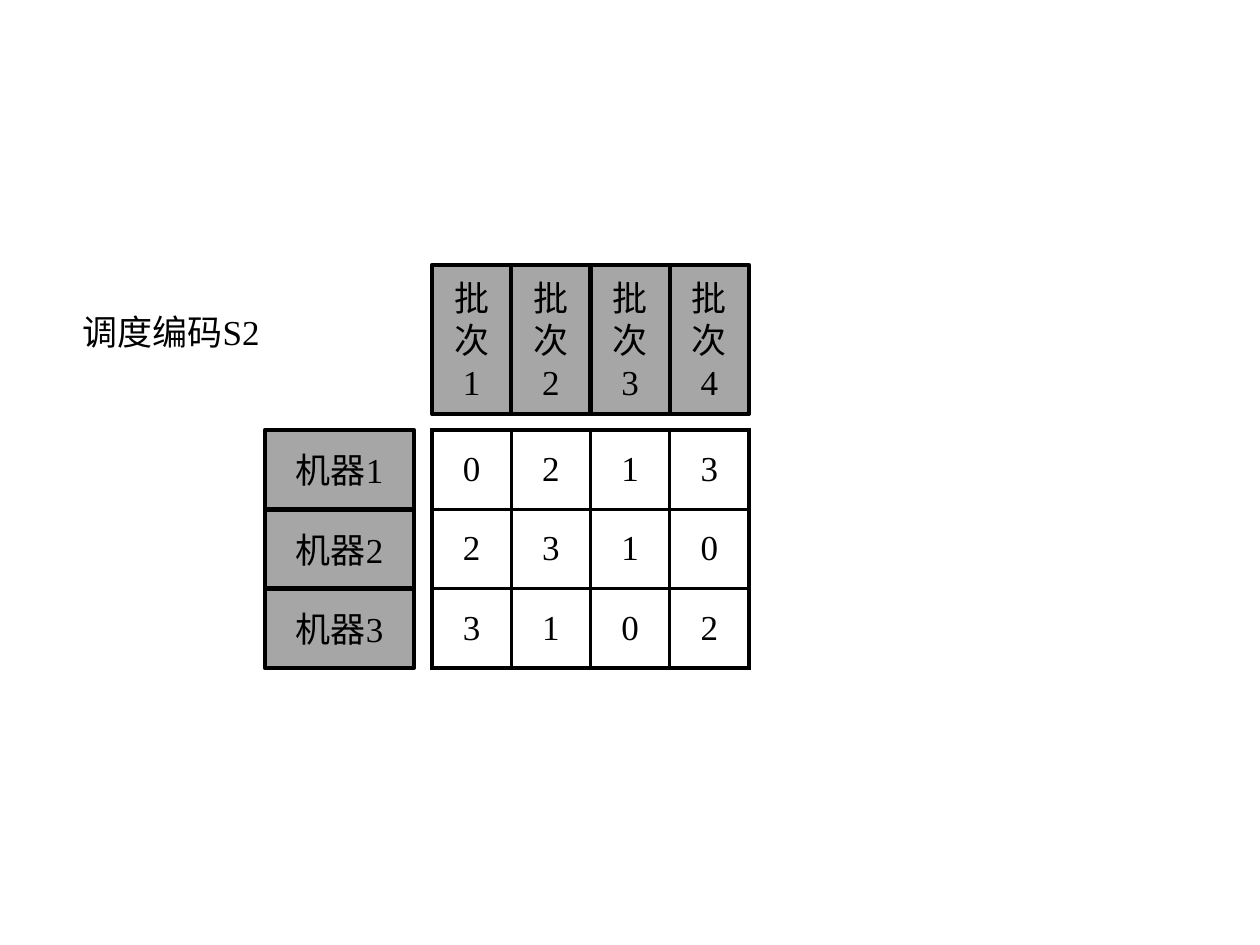
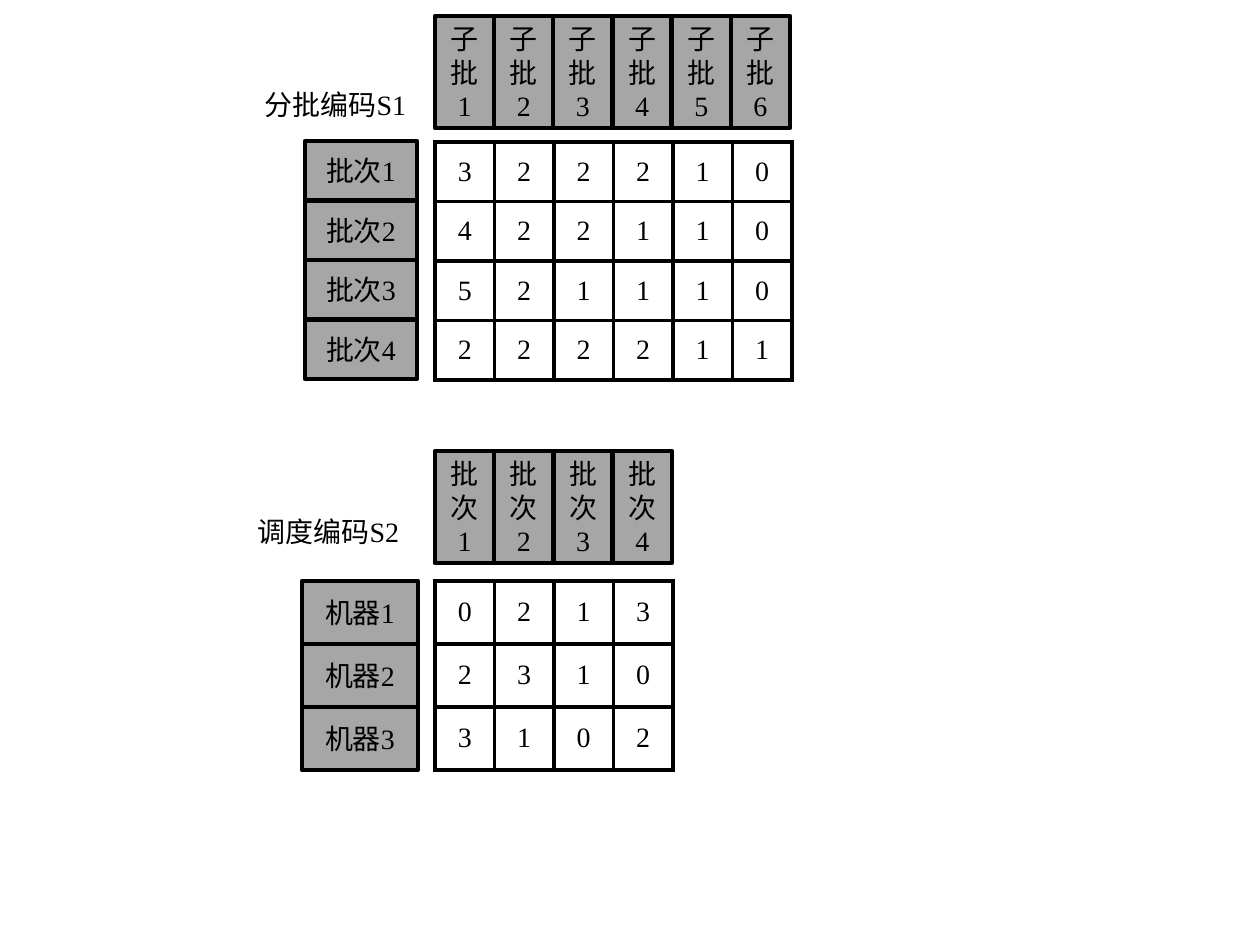
from lxml.etree import SubElement
from pptx import Presentation
from pptx.dml.color import RGBColor
from pptx.enum.shapes import MSO_SHAPE
from pptx.enum.text import MSO_ANCHOR, MSO_AUTO_SIZE, PP_ALIGN
from pptx.oxml.ns import qn
from pptx.util import Pt

PIXEL = 914400 / 126  # EMU in one pixel
BLACK, GREY = "000000", "A6A6A6"
FONT_NAME = "Times New Roman"
BOX_LINE, CELL_LINE = Pt(2.5), Pt(2.25)


def emu(*pixels):
    return [round(value * PIXEL) for value in pixels]


def write(frame, lines, size):
    """Fill a text frame with centred paragraphs, one for each line."""
    font_format = {"name": FONT_NAME, "size": Pt(size), "bold": False}
    for index, line in enumerate(lines):
        paragraph = frame.add_paragraph() if index else frame.paragraphs[0]
        paragraph.alignment = PP_ALIGN.CENTER
        run = paragraph.add_run()
        run.text = line
        run.font.color.rgb = RGBColor.from_string(BLACK)
        for name, value in font_format.items():
            setattr(run.font, name, value)


# Each matrix: caption, column heads, row heads and values.
# Areas are left, top, width, height; margins are horizontal, vertical.
schedule = {
    "caption": "调度编码S2", "column_word": "批次", "row_word": "机器",
    "values": ["0213", "2310", "3102"],
}
split = {
    "caption": "分批编码S1", "column_word": "子批", "row_word": "批次",
    "values": ["322210", "422110", "521110", "222211"],
}
slides = [
    [
        {**schedule, "size": 20, "margins": (13, 6),
         "caption_area": (69, 304, 204, 55),
         "column_area": (432, 265, 317, 149),
         "row_area": (265, 430, 149, 238),
         "table_area": (432, 430, 317, 238)},
    ],
    [
        {**split, "size": 16, "margins": (9, 5),
         "caption_area": (246, 81, 179, 47),
         "column_area": (435, 16, 355, 112),
         "row_area": (305, 141, 112, 238),
         "table_area": (435, 142, 357, 238)},
        {**schedule, "size": 16, "margins": (14, 7),
         "caption_area": (243, 508, 171, 47),
         "column_area": (435, 451, 237, 112),
         "row_area": (302, 581, 116, 189),
         "table_area": (435, 581, 238, 189)},
    ],
]

presentation = Presentation()
presentation.slide_width, presentation.slide_height = emu(1260, 945)

for matrices in slides:
    slide = presentation.slides.add_slide(presentation.slide_layouts[6])
    for matrix in matrices:
        size, values = matrix["size"], matrix["values"]
        row_count, column_count = len(values), len(values[0])

        # Grey heads: columns side by side, rows stacked
        left, top, width, height = matrix["column_area"]
        step = width / column_count
        column_heads = [
            ((left + step * i, top, step, height), [matrix["column_word"], str(i + 1)])
            for i in range(column_count)
        ]
        left, top, width, height = matrix["row_area"]
        step = height / row_count
        row_heads = [
            ((left, top + step * i, width, step), [f"{matrix['row_word']}{i + 1}"])
            for i in range(row_count)
        ]
        for heads in (column_heads, row_heads):
            group = slide.shapes.add_group_shape()
            for area, lines in heads:
                shape = group.shapes.add_shape(MSO_SHAPE.RECTANGLE, *emu(*area))
                shape.shadow.inherit = False
                shape.fill.solid()
                shape.fill.fore_color.rgb = RGBColor.from_string(GREY)
                shape.line.color.rgb = RGBColor.from_string(BLACK)
                shape.line.width = BOX_LINE
                shape.text_frame.word_wrap = True
                shape.text_frame.vertical_anchor = MSO_ANCHOR.MIDDLE
                write(shape.text_frame, lines, size)

        # Table of values
        area = emu(*matrix["table_area"])
        table = slide.shapes.add_table(row_count, column_count, *area).table
        table.first_row = table.horz_banding = False
        for column in table.columns:
            column.width = area[2] // column_count
        for row in table.rows:
            row.height = area[3] // row_count
        margin_x, margin_y = emu(*matrix["margins"])
        cell_format = {
            "vertical_anchor": MSO_ANCHOR.MIDDLE,
            "margin_left": margin_x, "margin_right": margin_x,
            "margin_top": margin_y, "margin_bottom": margin_y,
        }
        for row, digits in zip(table.rows, values):
            for cell, digit in zip(row.cells, digits):
                for name, value in cell_format.items():
                    setattr(cell, name, value)
                write(cell.text_frame, [digit], size)
                properties = cell._tc.get_or_add_tcPr()
                for side in ("a:lnL", "a:lnR", "a:lnT", "a:lnB"):
                    border = SubElement(properties, qn(side), w=str(CELL_LINE))
                    fill = SubElement(border, qn("a:solidFill"))
                    SubElement(fill, qn("a:srgbClr"), val=BLACK)
                cell.fill.background()

        # Caption
        caption = slide.shapes.add_textbox(*emu(*matrix["caption_area"]))
        caption.text_frame.word_wrap = True
        caption.text_frame.auto_size = MSO_AUTO_SIZE.SHAPE_TO_FIT_TEXT
        write(caption.text_frame, [matrix["caption"]], size)

presentation.save("out.pptx")
